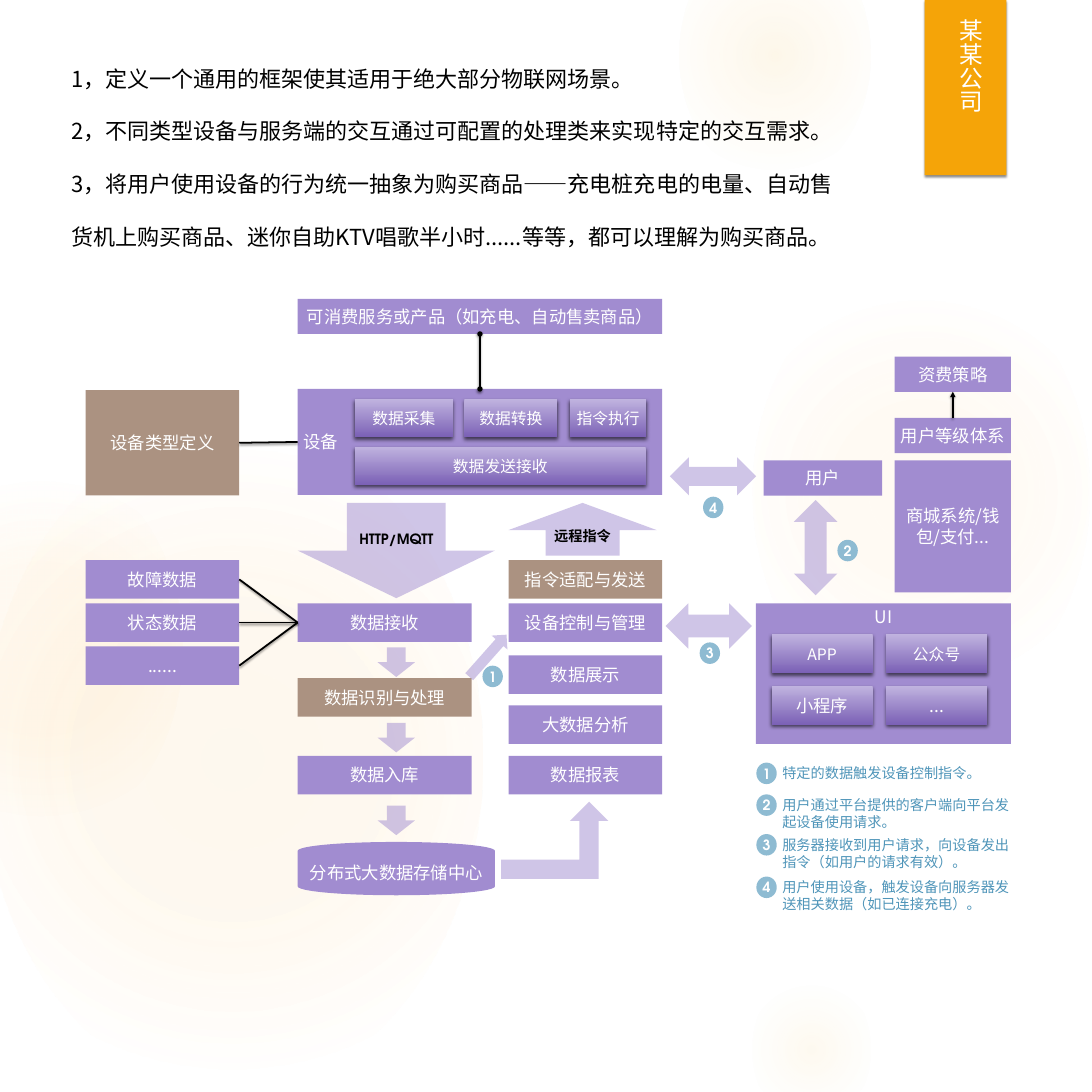
from dataclasses import dataclass
from typing import NamedTuple

from lxml import etree
from pptx import Presentation
from pptx.dml.color import RGBColor
from pptx.enum.shapes import MSO_CONNECTOR, MSO_SHAPE
from pptx.enum.text import MSO_ANCHOR, MSO_AUTO_SIZE, PP_ALIGN
from pptx.oxml import parse_xml
from pptx.oxml.ns import qn
from pptx.util import Inches, Pt

RECT, OVAL, DISK = MSO_SHAPE.RECTANGLE, MSO_SHAPE.OVAL, MSO_SHAPE.FLOWCHART_MAGNETIC_DISK
DOWN, UP, UP_DOWN = MSO_SHAPE.DOWN_ARROW, MSO_SHAPE.UP_ARROW, MSO_SHAPE.UP_DOWN_ARROW
RIGHT, BENT = MSO_SHAPE.RIGHT_ARROW, MSO_SHAPE.BENT_UP_ARROW
CENTER, JUSTIFY, LEFT = PP_ALIGN.CENTER, PP_ALIGN.JUSTIFY, PP_ALIGN.LEFT
TOP, MIDDLE = MSO_ANCHOR.TOP, MSO_ANCHOR.MIDDLE
GROW, STRAIGHT = MSO_AUTO_SIZE.SHAPE_TO_FIT_TEXT, MSO_CONNECTOR.STRAIGHT
SITE_TOP, SITE_LEFT, SITE_BOTTOM, SITE_RIGHT = range(4)

SIDE = 19.26
CJK, LATIN = "Noto Sans CJK SC", "TeX Gyre Adventor"
PURPLE, BROWN, BLUE, ORANGE = "A18CD0", "AB9281", "8EBBD2", "F5A408"
BLACK, WHITE, LEGEND_BLUE, HALO = "000000", "FFFFFF", "4F95B9", "FAC96A"
BUTTON_STOPS = [(0, "C0B3DF", 100), (100, "7B61B6", 100)]
LINEAR_DOWN = '<a:lin ang="5400000" scaled="0"/>'
RADIAL = '<a:path path="circle"><a:fillToRect l="50000" t="50000" r="50000" b="50000"/></a:path>'
NS = 'xmlns:a="http://schemas.openxmlformats.org/drawingml/2006/main"'


class Span(NamedTuple):
    """Start and length of a grid column or row, in inches."""
    start: float
    size: float


class Shadow(NamedTuple):
    alpha: int
    blur: float
    distance: float


@dataclass
class Node:
    column: Span
    row: Span
    text: str = ""
    fill: str = PURPLE
    kind: int = RECT
    size: float = 22
    align: int = CENTER
    anchor: int = MIDDLE


@dataclass
class Arrow:
    kind: int
    column: Span
    row: Span
    rotation: float = 0
    text: str = ""
    head: float = 0.5


SOFT, DEEP = Shadow(45, 3, 2), Shadow(60, 5, 3)

SOURCES, PIPELINE, SERVICES = Span(1.51, 2.71), Span(5.25, 3.07), Span(8.97, 2.71)
DEVICE, STORE = Span(5.25, 6.43), Span(5.25, 3.48)
USER, CLIENTS, SHOP = Span(13.47, 2.09), Span(13.33, 4.5), Span(15.78, 2.05)
BAR, SLIM, BUTTON = 0.68, 0.62, 0.67
DEVICE_ROW = Span(6.86, 1.87)
ADAPT, RECEIVE, OTHER = (Span(9.88 + 0.76 * i, BAR) for i in range(3))
IDENTIFY, REPORT = Span(11.96, BAR), Span(13.33, BAR)
USER_ROW = Span(8.12, SLIM)

NODES = {node.text: node for node in [
    Node(DEVICE, Span(5.27, SLIM), "可消费服务或产品（如充电、自动售卖商品）"),
    Node(SOURCES, Span(6.88, 1.86), "设备类型定义", BROWN),
    Node(DEVICE, DEVICE_ROW, "设备", align=JUSTIFY),
    Node(SOURCES, ADAPT, "故障数据"),
    Node(SOURCES, RECEIVE, "状态数据"),
    Node(SOURCES, OTHER, "......"),
    Node(PIPELINE, RECEIVE, "数据接收"),
    Node(PIPELINE, IDENTIFY, "数据识别与处理", BROWN),
    Node(PIPELINE, REPORT, "数据入库"),
    Node(STORE, Span(14.85, 0.94), "分布式大数据存储中心", kind=DISK),
    Node(SERVICES, ADAPT, "指令适配与发送", BROWN),
    Node(SERVICES, RECEIVE, "设备控制与管理"),
    Node(SERVICES, Span(11.56, BAR), "数据展示"),
    Node(SERVICES, Span(12.44, BAR), "大数据分析"),
    Node(SERVICES, REPORT, "数据报表"),
    Node(USER, USER_ROW, "用户"),
    Node(CLIENTS, Span(10.64, 2.48), "UI", anchor=TOP),
    Node(SHOP, Span(6.29, SLIM), "资费策略"),
    Node(SHOP, Span(7.37, SLIM), "用户等级体系"),
    Node(SHOP, Span(8.12, 2.33), "商城系统/钱包/支付..."),
]}

MODULES = Span(7.04, BUTTON)
CLIENT_COLS = [Span(13.61 + 2.02 * i, 1.78) for i in range(2)]
CLIENT_ROWS = [Span(11.19 + 0.91 * i, BAR) for i in range(2)]
BUTTONS = [
    Node(Span(6.26, 1.73), MODULES, "数据采集", size=20),
    Node(Span(8.19, 1.64), MODULES, "数据转换", size=20),
    Node(Span(10.05, 1.35), MODULES, "指令执行", size=20),
    Node(Span(6.26, 5.13), Span(7.88, BUTTON), "数据发送接收", size=20),
    Node(CLIENT_COLS[0], CLIENT_ROWS[0], "APP", size=20),
    Node(CLIENT_COLS[1], CLIENT_ROWS[0], "公众号", size=20),
    Node(CLIENT_COLS[0], CLIENT_ROWS[1], "小程序"),
    Node(CLIENT_COLS[1], CLIENT_ROWS[1], "..."),
]

ARROWS = [
    Arrow(DOWN, STORE, Span(8.87, 1.68), text="HTTP/MQTT"),
    Arrow(UP, Span(8.97, 2.61), Span(8.87, 0.93), text="远程指令", head=0.515),
    *[Arrow(DOWN, Span(6.66, 0.66), Span(top, 0.52)) for top in (11.42, 12.75, 14.21)],
    Arrow(BENT, Span(8.84, 1.89), Span(14.14, 1.36)),
    Arrow(UP_DOWN, Span(14, 0.77), Span(8.82, 1.68)),
    Arrow(UP_DOWN, Span(12.1, 0.8), Span(10.28, 1.52), 270),
    Arrow(UP_DOWN, Span(12.24, 0.67), Span(7.64, 1.52), 270),
    Arrow(RIGHT, Span(8.11, 0.99), Span(11.38, 0.37), 311.6),
]

HALOS = [
    (Span(13.27, 5.94), Span(4.71, 7.92), [(0, 7), (36, 6), (69, 0)]),
    (Span(11.98, 3.37), Span(-1.28, 4.49), [(0, 14), (36, 7), (73, 0)]),
    (Span(13.27, 2.09), Span(17.12, 2.78), [(0, 10), (31, 5), (66, 0)]),
    (Span(-0.32, 8.83), Span(7.49, 11.77), [(0, 11), (36, 10), (75, 0)]),
    (Span(-1.77, 4.98), Span(8.13, 6.63), [(0, 8), (36, 8), (72, 0)]),
]

STEP_BADGES = [("1", 8.51, 11.74), ("2", 14.77, 9.52), ("3", 12.34, 11.33), ("4", 12.4, 8.76)]
LEGEND = [
    (13.44, 0.4, "特定的数据触发设备控制指令。"),
    (14, 0.71, "用户通过平台提供的客户端向平台发起设备使用请求。"),
    (14.7, 0.71, "服务器接收到用户请求，向设备发出指令（如用户的请求有效）。"),
    (15.45, 0.71, "用户使用设备，触发设备向服务器发送相关数据（如已连接充电）。"),
]
LINKS = [
    ("数据接收", SITE_LEFT, "状态数据", SITE_RIGHT, None, None),
    ("数据接收", SITE_LEFT, "故障数据", SITE_RIGHT, None, None),
    ("数据接收", SITE_LEFT, "......", SITE_RIGHT, None, None),
    ("设备", SITE_LEFT, "设备类型定义", SITE_RIGHT, None, None),
    ("用户等级体系", SITE_TOP, "资费策略", SITE_BOTTOM, None, "triangle"),
    ("设备", SITE_TOP, "可消费服务或产品（如充电、自动售卖商品）", SITE_BOTTOM, "oval", "oval"),
]
INTRO = [
    "1，定义一个通用的框架使其适用于绝大部分物联网场景。",
    "2，不同类型设备与服务端的交互通过可配置的处理类来实现特定的交互需求。",
    "3，将用户使用设备的行为统一抽象为购买商品——充电桩充电的电量、自动售货机上购买商品、"
    "迷你自助KTV唱歌半小时......等等，都可以理解为购买商品。",
]


def rgb(color: str) -> RGBColor:
    return RGBColor.from_string(color)


def write(frame, lines, size, color, font=CJK, bold=False, align=CENTER, spacing=None) -> None:
    frame.word_wrap = True
    for index, line in enumerate(lines):
        paragraph = frame.add_paragraph() if index else frame.paragraphs[0]
        paragraph.alignment, paragraph.line_spacing = align, spacing
        run = paragraph.add_run()
        run.text = line
        run.font.size, run.font.bold, run.font.name = Pt(size), bold, font
        run.font.color.rgb = rgb(color)
        etree.SubElement(run.font._element, qn("a:ea"), typeface=CJK)


def add_shadow(properties, shadow: Shadow) -> None:
    effects = properties.find(qn("a:effectLst"))
    effects.append(parse_xml(
        f'<a:outerShdw {NS} blurRad="{Pt(shadow.blur)}" dist="{Pt(shadow.distance)}" dir="5400000" '
        f'rotWithShape="0"><a:srgbClr val="{BLACK}"><a:alpha val="{shadow.alpha * 1000}"/>'
        '</a:srgbClr></a:outerShdw>'))


def add_plain(slide, kind: int, column: Span, row: Span, fill: str = ""):
    shape = slide.shapes.add_shape(kind, *map(Inches, (column.start, row.start, column.size, row.size)))
    shape.line.fill.background()
    shape.shadow.inherit = False
    if fill:
        shape.fill.solid()
        shape.fill.fore_color.rgb = rgb(fill)
    return shape


def add_gradient(shape, stops, direction: str) -> None:
    """Stops are (position, colour, opacity), in percent."""
    marks = "".join(f'<a:gs pos="{at * 1000}"><a:srgbClr val="{color}"><a:alpha val="{alpha * 1000}"/>'
                    '</a:srgbClr></a:gs>' for at, color, alpha in stops)
    gradient = parse_xml(f'<a:gradFill {NS} rotWithShape="1"><a:gsLst>{marks}</a:gsLst>{direction}</a:gradFill>')
    shape._element.spPr.find(qn("a:prstGeom")).addnext(gradient)


def add_node(slide, node: Node, button: bool = False):
    shape = add_plain(slide, node.kind, node.column, node.row, "" if button else node.fill)
    if button:
        add_gradient(shape, BUTTON_STOPS, LINEAR_DOWN)
        add_shadow(shape._element.spPr, DEEP)
    shape.text_frame.vertical_anchor = node.anchor
    write(shape.text_frame, [node.text], node.size, WHITE, align=node.align)
    return shape


def add_arrow(slide, arrow: Arrow) -> None:
    shape = add_plain(slide, arrow.kind, arrow.column, arrow.row, PURPLE)
    color = shape._element.spPr.find(qn("a:solidFill"))[0]
    etree.SubElement(color, qn("a:alpha"), val="50000")
    shape.rotation = arrow.rotation
    if arrow.text:
        shape.adjustments[1] = arrow.head
        write(shape.text_frame, [arrow.text], 18, BLACK, LATIN, True)


def add_badge(slide, number: str, left: float, top: float) -> None:
    frame = add_plain(slide, OVAL, Span(left, 0.36), Span(top, 0.38), BLUE).text_frame
    frame.margin_left = frame.margin_right = frame.margin_top = frame.margin_bottom = 0
    write(frame, [number], 18, WHITE, LATIN, True)


def add_link(slide, start, start_site: int, end, end_site: int, head, tail) -> None:
    link = slide.shapes.add_connector(STRAIGHT, 0, 0, 0, 0)
    link.begin_connect(start, start_site)
    link.end_connect(end, end_site)
    link.line.color.rgb, link.line.width = rgb(BLACK), Pt(2.25)
    line = link.line._get_or_add_ln()
    for tag, tip in (("a:headEnd", head), ("a:tailEnd", tail)):
        if tip:
            etree.SubElement(line, qn(tag), type=tip)
    etree.SubElement(link._element.spPr, qn("a:effectLst"))
    add_shadow(link._element.spPr, SOFT)


def add_text(slide, column: Span, row: Span, lines, size, color, align=LEFT, spacing=None):
    frame = slide.shapes.add_textbox(
        *map(Inches, (column.start, row.start, column.size, row.size))).text_frame
    write(frame, lines, size, color, align=align, spacing=spacing)
    frame.auto_size = GROW
    return frame


def main() -> None:
    deck = Presentation()
    deck.slide_width = deck.slide_height = Inches(SIDE)
    slide = deck.slides.add_slide(deck.slide_layouts[6])
    for column, row, stops in HALOS:
        halo = add_plain(slide, OVAL, column, row)
        add_gradient(halo, [(at, HALO, alpha) for at, alpha in stops], RADIAL)
    ribbon = add_plain(slide, RECT, Span(16.31, 1.44), Span(0, 3.09), ORANGE)
    add_shadow(ribbon._element.spPr, SOFT)
    owner = add_text(slide, Span(16.7, 0.71), Span(0.24, 2.73), ["某某公司"], 30, WHITE, CENTER)
    owner._txBody.bodyPr.set("vert", "eaVert")
    add_text(slide, Span(1.16, 13.75), Span(0.63, 3.73), INTRO, 28, BLACK, spacing=2.0)

    placed = {name: add_node(slide, node) for name, node in NODES.items()}
    for button in BUTTONS:
        add_node(slide, button, button=True)
    for arrow in ARROWS:
        add_arrow(slide, arrow)
    for start, start_site, end, end_site, head, tail in LINKS:
        add_link(slide, placed[start], start_site, placed[end], end_site, head, tail)
    for badge in STEP_BADGES:
        add_badge(slide, *badge)
    for number, (top, height, note) in enumerate(LEGEND, 1):
        add_badge(slide, str(number), 13.34, top + 0.01)
        add_text(slide, Span(13.7, 4.23), Span(top, height), [note], 18, LEGEND_BLUE)
    deck.save("out.pptx")


if __name__ == "__main__":
    main()
